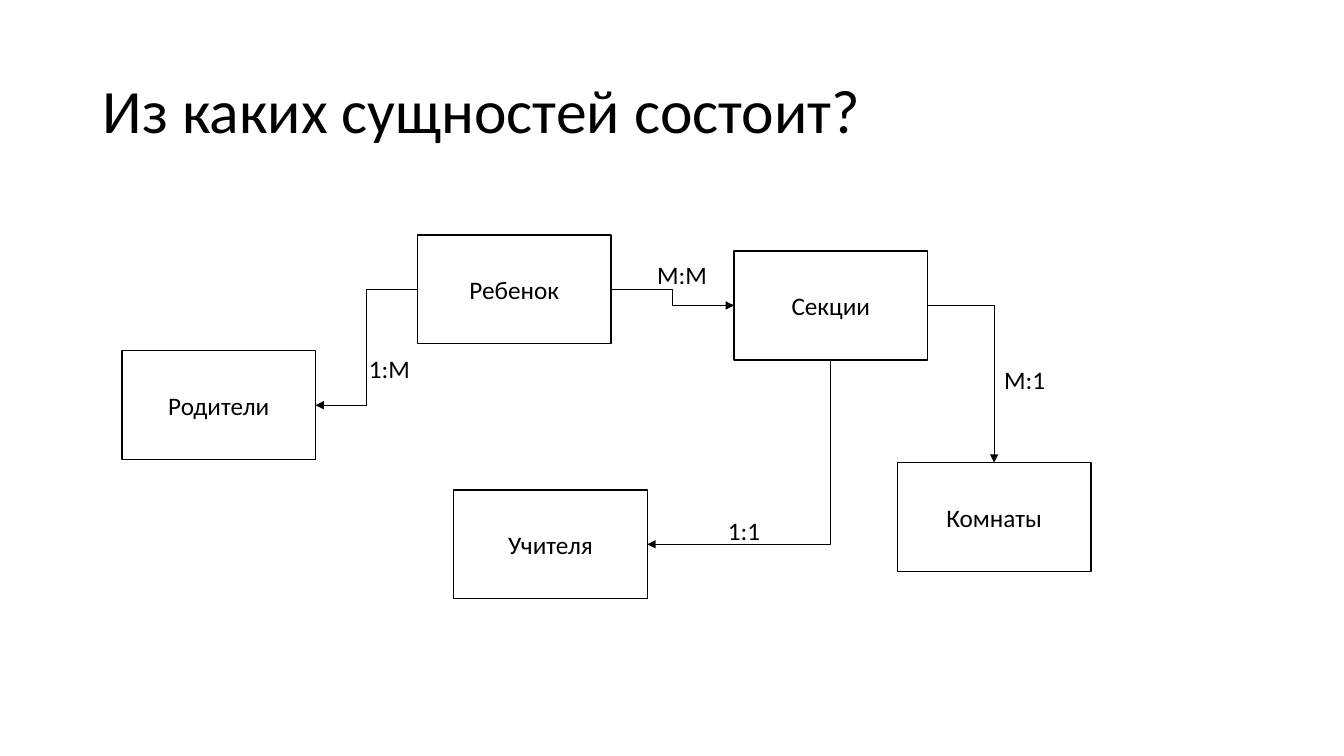
from lxml import etree
from pptx import Presentation
from pptx.dml.color import RGBColor
from pptx.enum.shapes import MSO_CONNECTOR, MSO_SHAPE
from pptx.enum.text import MSO_ANCHOR, PP_ALIGN
from pptx.oxml.ns import qn
from pptx.util import Inches, Pt

ELBOW, RECTANGLE = MSO_CONNECTOR.ELBOW, MSO_SHAPE.RECTANGLE
MIDDLE, TOP_ANCHOR = MSO_ANCHOR.MIDDLE, MSO_ANCHOR.TOP
CENTER, LEFT_ALIGN = PP_ALIGN.CENTER, PP_ALIGN.LEFT
TOP, LEFT, BOTTOM, RIGHT = range(4)  # connection sites of a rectangle

# Content
TITLE = "Из каких сущностей состоит?"
ENTITIES = {  # name: left, top
    "Родители": (1.21, 3.48),
    "Ребенок": (4.14, 2.33),
    "Учителя": (4.5, 4.86),
    "Комнаты": (8.9, 4.59),
    "Секции": (7.28, 2.49),
}
RELATIONS = [  # start, site, end, site, preset, quarter turn
    ("Ребенок", LEFT, "Родители", RIGHT, "bentConnector3", False),
    ("Ребенок", RIGHT, "Секции", LEFT, "bentConnector3", False),
    ("Секции", BOTTOM, "Учителя", RIGHT, "bentConnector2", True),
    ("Секции", RIGHT, "Комнаты", TOP, "bentConnector2", False),
]
CARDINALITIES = [  # text, left, top, width
    ("1:М", 3.56, 3.46, 0.61),
    ("М:М", 6.42, 2.52, 0.7),
    ("1:1", 7.12, 5.06, 0.53),
    ("М:1", 9.86, 3.57, 0.61),
]
ENTITY_SIZE = (1.92, 1.08)
BLACK, WHITE = "000000", "FFFFFF"


def color(value):
    return RGBColor.from_string(value)


def write(shape, text, size=18, anchor=TOP_ANCHOR, align=LEFT_ALIGN, wrap=True, spacing=1.0):
    frame = shape.text_frame
    frame.word_wrap = wrap
    frame.vertical_anchor = anchor
    paragraph = frame.paragraphs[0]
    paragraph.alignment = align
    paragraph.line_spacing = spacing
    run = paragraph.add_run()
    run.text = text
    for key, value in {"name": "Calibri", "size": Pt(size)}.items():
        setattr(run.font, key, value)
    run.font.color.rgb = color(BLACK)


def outline(shape, width):
    shape.line.color.rgb = color(BLACK)
    shape.line.width = Pt(width)


def quarter_turn(connector):
    """Swap the sides around the centre, so the line leaves downwards."""
    width, height = connector.width, connector.height
    frame = {
        "left": connector.left + (width - height) // 2,
        "top": connector.top + (height - width) // 2,
        "width": height,
        "height": width,
    }
    for key, value in frame.items():
        setattr(connector, key, value)
    xfrm = connector.element.spPr.find(qn("a:xfrm"))
    xfrm.set("flipH", "0")
    xfrm.set("rot", "5400000")


deck = Presentation()
deck.slide_width, deck.slide_height = Inches(13.33), Inches(7.5)
slide = deck.slides.add_slide(deck.slide_layouts[6])
shapes = slide.shapes

# Title
heading = shapes.add_textbox(*map(Inches, (0.92, 0.4, 11.5, 1.45)))
write(heading, TITLE, size=44, anchor=MIDDLE, spacing=0.9)

# Entities
boxes = {}
for name, corner in ENTITIES.items():
    box = shapes.add_shape(RECTANGLE, *map(Inches, corner + ENTITY_SIZE))
    box.shadow.inherit = False
    box.fill.solid()
    box.fill.fore_color.rgb = color(WHITE)
    outline(box, 1)
    write(box, name, anchor=MIDDLE, align=CENTER)
    boxes[name] = box

# Relations
for start, start_site, end, end_site, preset, turned in RELATIONS:
    arrow = shapes.add_connector(ELBOW, 0, 0, 0, 0)
    arrow.begin_connect(boxes[start], start_site)
    arrow.end_connect(boxes[end], end_site)
    outline(arrow, 0.5)
    properties = arrow.element.spPr
    properties.find(qn("a:prstGeom")).set("prst", preset)
    etree.SubElement(properties.find(qn("a:ln")), qn("a:tailEnd"), type="triangle")
    etree.SubElement(properties, qn("a:effectLst"))
    if turned:
        quarter_turn(arrow)

# Cardinalities
for text, left, top, width in CARDINALITIES:
    label = shapes.add_textbox(*map(Inches, (left, top, width, 0.4)))
    write(label, text, wrap=False)

deck.save("out.pptx")
